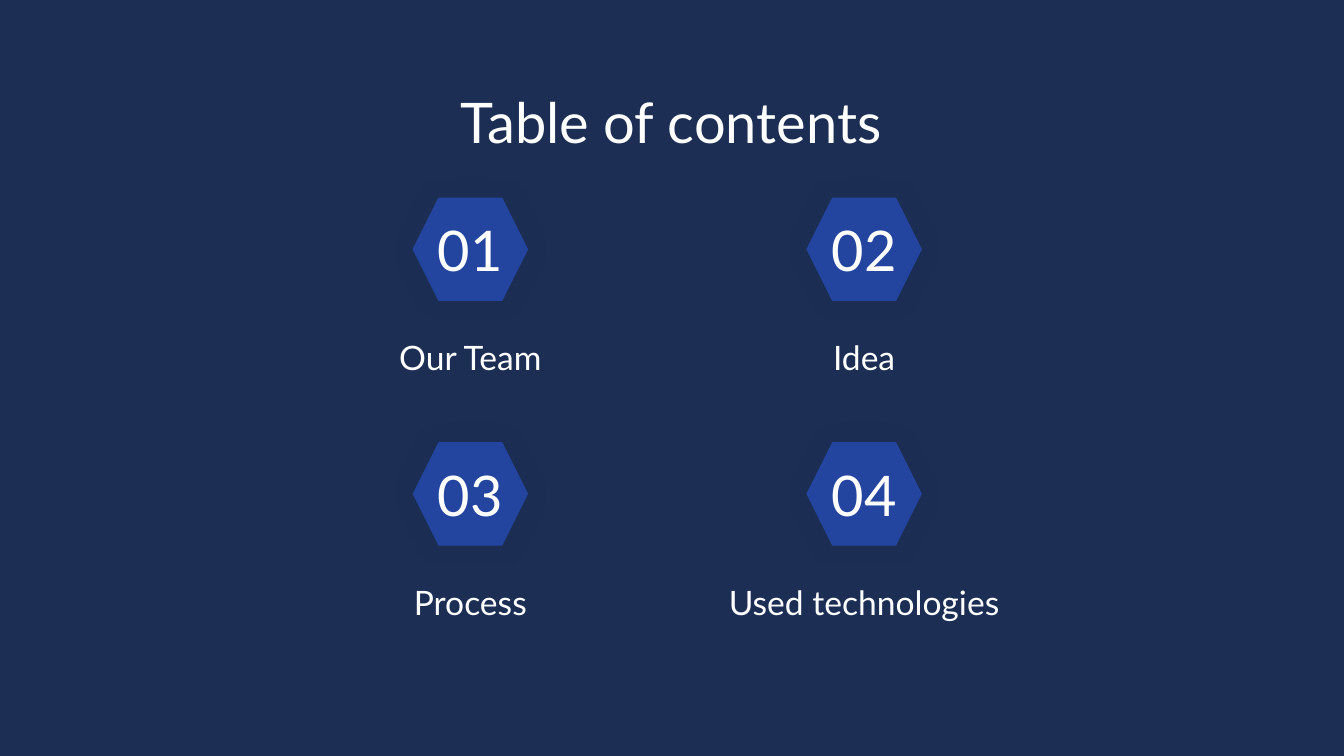
import dataclasses

import lxml.etree
import pptx
import pptx.dml.color
import pptx.enum.shapes
import pptx.enum.text
import pptx.oxml.ns
import pptx.util

Inches = pptx.util.Inches
Pt = pptx.util.Pt
RGB = pptx.dml.color.RGBColor
Anchor = pptx.enum.text.MSO_ANCHOR


@dataclasses.dataclass(frozen=True)
class Theme:
    background: str = "1C2E53"
    badge: str = "23459F"
    text: str = "FFFFFF"
    font: str = "Lato"
    heading_size: int = 30
    label_size: int = 18
    inset: float = 0.1
    glow: float = 11.2


THEME = Theme()
TOPICS = ["Our Team", "Idea", "Process", "Used technologies"]
COLUMNS = 2


def apply_format(target, values):
    for name, value in values.items():
        setattr(target, name, value)


def write_text(holder, wording, size, anchor):
    frame = holder.text_frame
    frame.text = wording
    inset = Inches(THEME.inset)
    apply_format(frame, {
        "word_wrap": True,
        "auto_size": pptx.enum.text.MSO_AUTO_SIZE.NONE,
        "vertical_anchor": anchor,
        "margin_left": inset, "margin_right": inset,
        "margin_top": inset, "margin_bottom": inset,
    })
    paragraph = frame.paragraphs[0]
    paragraph.alignment = pptx.enum.text.PP_ALIGN.CENTER
    apply_format(paragraph.font, {"name": THEME.font, "size": Pt(size)})
    paragraph.font.color.rgb = RGB.from_string(THEME.text)


def add_text(slide, box, wording, size, anchor):
    holder = slide.shapes.add_textbox(*map(Inches, box))
    write_text(holder, wording, size, anchor)


def add_glow(badge):
    qn = pptx.oxml.ns.qn
    badge.shadow.inherit = False
    effects = badge._element.spPr.find(qn("a:effectLst"))
    shadow = lxml.etree.SubElement(effects, qn("a:outerShdw"),
                                   blurRad=str(Pt(THEME.glow)), dist="0", dir="0",
                                   algn="ctr", rotWithShape="0")
    lxml.etree.SubElement(shadow, qn("a:srgbClr"), val=THEME.background)


def place_title(slide, box):
    title = slide.shapes.title
    left, top, width, height = map(Inches, box)
    apply_format(title, {"left": left, "top": top, "width": width, "height": height})
    write_text(title, "Table of contents", THEME.heading_size, Anchor.TOP)


def add_topic(slide, box, number, topic):
    left, top, width, height = box
    badge_width, badge_height, label_height = 0.86, 0.77, 0.49
    badge_left = left + (width - badge_width) / 2
    badge = slide.shapes.add_shape(
        pptx.enum.shapes.MSO_SHAPE.HEXAGON,
        *map(Inches, (badge_left, top, badge_width, badge_height)))
    badge.adjustments[0] = 0.25
    badge.fill.solid()
    badge.fill.fore_color.rgb = RGB.from_string(THEME.badge)
    badge.line.fill.background()
    add_glow(badge)
    add_text(slide, (badge_left + 0.03, top + 0.07, 0.8, 0.63),
             f"{number:02}", THEME.heading_size, Anchor.MIDDLE)
    add_text(slide, (left, top + height - label_height, width, label_height),
             topic, THEME.label_size, Anchor.TOP)


def add_topic_grid(slide, box):
    left, top, width, height = box
    cell_width, cell_height = 2.76, 1.43
    column_step = (width - cell_width) / (COLUMNS - 1)
    row_step = (height - cell_height) / (len(TOPICS) // COLUMNS - 1)
    for index, topic in enumerate(TOPICS):
        row, column = divmod(index, COLUMNS)
        cell = (left + column * column_step, top + row * row_step,
                cell_width, cell_height)
        add_topic(slide, cell, index + 1, topic)


def main():
    deck = pptx.Presentation()
    slide_width = Inches(10)
    apply_format(deck, {"slide_width": slide_width,
                        "slide_height": slide_width * 9 // 16})
    slide = deck.slides.add_slide(deck.slide_layouts[5])
    slide.background.fill.solid()
    slide.background.fill.fore_color.rgb = RGB.from_string(THEME.background)
    place_title(slide, (0.78, 0.55, 8.43, 0.63))
    add_topic_grid(slide, (2.12, 1.47, 5.69, 3.25))
    deck.save("out.pptx")


if __name__ == "__main__":
    main()
